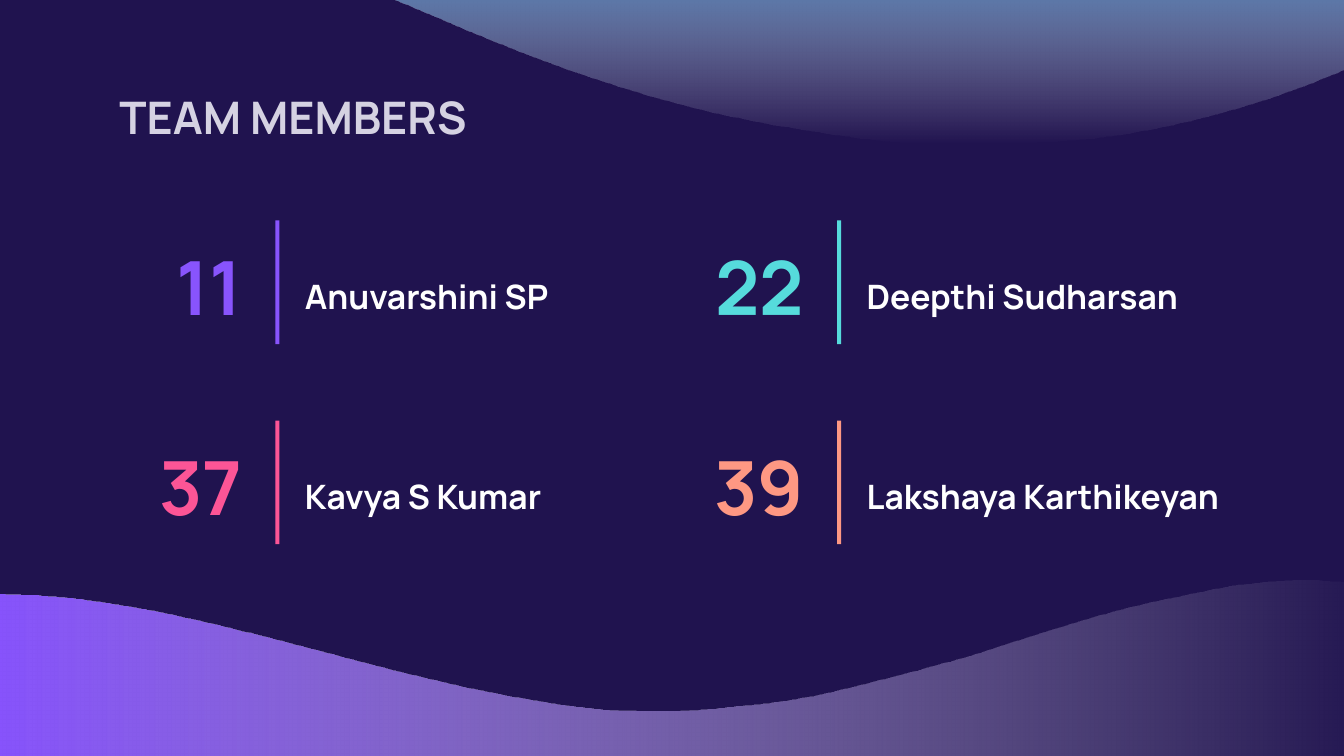
from dataclasses import dataclass

from lxml.etree import SubElement
from pptx import Presentation
from pptx.dml.color import RGBColor
from pptx.enum.shapes import MSO_SHAPE
from pptx.enum.text import MSO_ANCHOR, PP_ALIGN
from pptx.oxml.ns import qn
from pptx.util import Inches, Pt

NIGHT = RGBColor(0x20, 0x13, 0x4F)
LAVENDER = RGBColor(0xD5, 0xD2, 0xE2)
WHITE = RGBColor(0xFF, 0xFF, 0xFF)
VIOLET = RGBColor(0x88, 0x54, 0xFD)
SKY = RGBColor(0x36, 0x9A, 0xDE)
PINK = RGBColor(0xFC, 0x55, 0x96)
TEAL = RGBColor(0x56, 0xDB, 0xDC)
PEACH = RGBColor(0xFE, 0x98, 0x83)

FONT = "Manrope"
SLIDE_WIDTH = Inches(10)
SLIDE_HEIGHT = SLIDE_WIDTH * 9 // 16
GRID_LEFT, GRID_TOP = 0.89, 1.64
COLUMN_STEP, ROW_STEP = 4.18, 1.49
NUMBER_WIDTH, MEMBER_HEIGHT = 1.01, 0.92
BAR_OFFSET, BAR_WIDTH = 1.16, 0.03
NAME_OFFSET, NAME_DROP, NAME_HEIGHT = 1.28, 0.27, 0.37
CURVE_STEPS = 8

Point = tuple[float, float]


@dataclass(frozen=True)
class Member:
    number: str
    name: str
    color: RGBColor
    column: int
    row: int
    name_width: float = 2.76


@dataclass(frozen=True)
class Wave:
    crest: tuple[Point, ...]
    corners: tuple[Point, ...]
    color: RGBColor
    angle: int


@dataclass(frozen=True)
class TextStyle:
    size: int
    color: RGBColor
    anchor: MSO_ANCHOR = MSO_ANCHOR.TOP
    align: PP_ALIGN = PP_ALIGN.LEFT
    line_spacing: float = 1.0
    space_after: int = 0


MEMBERS = (
    Member("11", "Anuvarshini SP", VIOLET, 0, 0),
    Member("37", "Kavya S Kumar", PINK, 0, 1),
    Member("22", "Deepthi Sudharsan", TEAL, 1, 0),
    Member("39", "Lakshaya Karthikeyan", PEACH, 1, 1, 3.21),
)

WAVES = (
    Wave(
        ((-0.04, 4.42), (0.42, 4.44), (0.95, 4.51), (1.49, 4.62),
         (2.1, 4.77), (2.71, 4.93), (3.32, 5.08), (3.86, 5.19),
         (4.4, 5.27), (4.93, 5.29), (5.46, 5.26), (5.99, 5.19),
         (6.51, 5.07), (7.15, 4.9), (7.72, 4.72), (8.29, 4.55),
         (8.77, 4.44), (9.25, 4.35), (9.74, 4.32), (10.3, 4.36)),
        ((10.3, 6.19), (-0.04, 6.19)), VIOLET, 0,
    ),
    Wave(
        ((0.01, -0.57), (0.56, -0.63), (1.18, -0.58), (1.79, -0.44),
         (2.42, -0.22), (3.04, 0.04), (3.66, 0.3), (4.24, 0.52),
         (4.83, 0.71), (5.42, 0.86), (6.02, 0.97), (6.62, 1.05),
         (7.23, 1.07), (7.86, 1.05), (8.4, 0.99), (8.92, 0.88),
         (9.44, 0.73), (9.94, 0.54), (10.35, 0.35)),
        ((10.35, -0.8), (0.01, -0.8)), SKY, 270,
    ),
)


def smooth_curve(knots: tuple[Point, ...]) -> list[Point]:
    padded = (knots[0], *knots, knots[-1])
    curve = []
    for before, start, end, after in zip(padded, padded[1:], padded[2:], padded[3:]):
        for step in range(CURVE_STEPS):
            t = step / CURVE_STEPS
            curve.append(tuple(
                b + t * ((c - a) + t * ((2 * a - 5 * b + 4 * c - d)
                                        + t * (3 * b - a - 3 * c + d))) / 2
                for a, b, c, d in zip(before, start, end, after)
            ))
    return [*curve, knots[-1]]


def draw_wave(slide, wave: Wave) -> None:
    outline = [(Inches(x), Inches(y))
               for x, y in (*smooth_curve(wave.crest), *wave.corners)]
    builder = slide.shapes.build_freeform(*outline[0])
    builder.add_line_segments(outline[1:], close=True)
    shape = builder.convert_to_shape()
    shape.shadow.inherit = False
    shape.line.fill.background()
    shape.fill.gradient()
    shape.fill.gradient_angle = wave.angle
    for stop, color in zip(shape.fill.gradient_stops, (wave.color, WHITE)):
        stop.color.rgb = color
    faded = list(shape._element.iter(qn("a:srgbClr")))[-1]
    SubElement(faded, qn("a:alpha"), val="0")


def draw_text(slide, text: str, left: float, top: float, width: float,
              height: float, style: TextStyle) -> None:
    box = slide.shapes.add_textbox(*map(Inches, (left, top, width, height)))
    frame = box.text_frame
    frame.word_wrap = True
    frame.vertical_anchor = style.anchor
    frame.margin_left = frame.margin_right = Inches(0.1)
    frame.margin_top = frame.margin_bottom = Inches(0.1)
    paragraph = frame.paragraphs[0]
    paragraph.alignment = style.align
    paragraph.line_spacing = style.line_spacing
    paragraph.space_after = Pt(style.space_after)
    run = paragraph.add_run()
    run.text = text
    run.font.name = FONT
    run.font.size = Pt(style.size)
    run.font.bold = True
    run.font.color.rgb = style.color


def draw_member(slide, member: Member) -> None:
    left = GRID_LEFT + member.column * COLUMN_STEP
    top = GRID_TOP + member.row * ROW_STEP
    draw_text(slide, member.number, left, top, NUMBER_WIDTH, MEMBER_HEIGHT,
              TextStyle(40, member.color, MSO_ANCHOR.BOTTOM, PP_ALIGN.RIGHT))
    draw_text(slide, member.name, left + NAME_OFFSET, top + NAME_DROP,
              member.name_width, NAME_HEIGHT,
              TextStyle(18, WHITE, line_spacing=1.15, space_after=12))
    bar = slide.shapes.add_shape(
        MSO_SHAPE.RECTANGLE,
        *map(Inches, (left + BAR_OFFSET, top, BAR_WIDTH, MEMBER_HEIGHT)))
    bar.shadow.inherit = False
    bar.fill.solid()
    bar.fill.fore_color.rgb = member.color
    bar.line.fill.background()


def main() -> None:
    deck = Presentation()
    deck.slide_width, deck.slide_height = SLIDE_WIDTH, SLIDE_HEIGHT
    slide = deck.slides.add_slide(deck.slide_layouts[6])
    slide.background.fill.solid()
    slide.background.fill.fore_color.rgb = NIGHT
    for wave in WAVES:
        draw_wave(slide, wave)
    draw_text(slide, "TEAM MEMBERS", 0.79, 0.59, 8.42, 0.55,
              TextStyle(24, LAVENDER, MSO_ANCHOR.MIDDLE))
    for member in MEMBERS:
        draw_member(slide, member)
    deck.save("out.pptx")


main()
